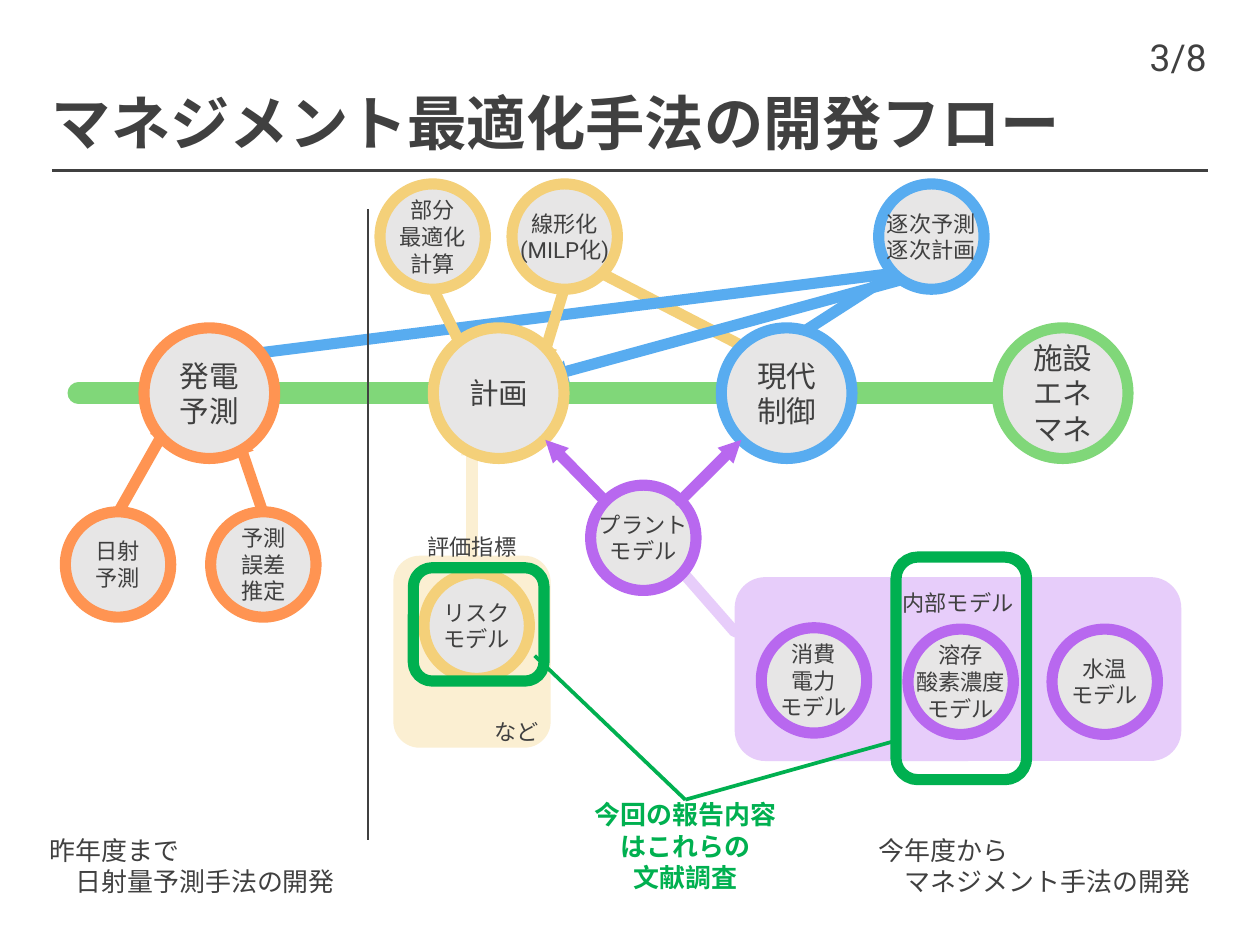
from lxml.etree import SubElement
from pptx import Presentation
from pptx.dml.color import RGBColor
from pptx.enum.shapes import MSO_CONNECTOR, MSO_SHAPE
from pptx.enum.text import MSO_ANCHOR, PP_ALIGN
from pptx.oxml.ns import qn
from pptx.util import Inches, Pt

FONT = "Roboto"
DARK = "404040"
GRAY = "E7E6E6"
ORANGE = "FF9452"
YELLOW = "F4D079"
PALE_YELLOW = "FBEFD2"
BLUE = "58ACF0"
LIME = "80D779"
PURPLE = "B868EF"
PALE_PURPLE = "E7CDFA"
GREEN = "00B050"

STAGE_SIZE = 0.98
TOPIC_SIZE = 0.79

STAGES = [
    (1.08, ORANGE, "発電\n予測"),
    (3.25, YELLOW, "計画"),
    (5.41, BLUE, "現代\n制御"),
    (7.48, LIME, "施設\nエネ\nマネ"),
]

TOPICS = [
    (0.49, 3.84, ORANGE, "日射\n予測"),
    (1.58, 3.84, ORANGE, "予測\n誤差\n推定"),
    (4.43, 3.64, PURPLE, "プラント\nモデル"),
    (5.71, 4.71, PURPLE, "消費\n電力\nモデル"),
    (6.81, 4.72, PURPLE, "溶存\n酸素濃度\nモデル"),
    (7.89, 4.72, PURPLE, "水温\nモデル"),
    (3.18, 4.3, YELLOW, "リスク\nモデル"),
    (6.59, 1.38, BLUE, "逐次予測\n逐次計画"),
    (3.84, 1.38, YELLOW, "線形化\n(MILP化)"),
    (2.85, 1.38, YELLOW, "部分\n最適化\n計算"),
]

BACK_ARROWS = [
    ((3.54, 4.17), (3.54, 3.25), PALE_YELLOW),
    ((4.51, 2.05), (5.71, 2.67), YELLOW),
    ((6.71, 2.05), (5.87, 2.59), BLUE),
    ((6.71, 2.05), (1.77, 2.67), BLUE),
    ((6.94, 2.05), (4.09, 2.83), BLUE),
    ((4.23, 2.17), (4.05, 2.76), YELLOW),
    ((3.25, 2.17), (3.54, 2.76), YELLOW),
    ((1.97, 3.84), (1.77, 3.25), ORANGE),
    ((0.89, 3.84), (1.28, 3.15), ORANGE),
    ((5.51, 4.74), (5.02, 4.18), PALE_PURPLE),
]

PLANT_ARROWS = [((4.54, 3.76), (4.09, 3.3)), ((5.1, 3.76), (5.56, 3.3))]


def color(value):
    return RGBColor.from_string(value)


def write(shape, text, size, ink=DARK, align=PP_ALIGN.CENTER, bold=False,
          anchor=MSO_ANCHOR.MIDDLE, wrap=True, margin=0):
    frame = shape.text_frame
    frame.text = text
    frame.word_wrap = wrap
    frame.vertical_anchor = anchor
    frame.margin_left = frame.margin_right = Inches(margin)
    frame.margin_top = frame.margin_bottom = 0
    for para in frame.paragraphs:
        para.alignment = align
        font = para.font
        font.size = Pt(size)
        font.bold = bold
        font.color.rgb = color(ink)
        font.name = FONT
        SubElement(font._rPr, qn("a:ea"), typeface=FONT)


def add_text(page, left, top, width, height, text, size, **style):
    box = page.shapes.add_textbox(
        Inches(left), Inches(top), Inches(width), Inches(height))
    write(box, text, size, **style)
    return box


def add_period(page, left, width, text):
    box = add_text(page, left, 6.1, width, 0.79, text, 14, align=PP_ALIGN.LEFT)
    detail = box.text_frame.paragraphs[1]
    detail._p.get_or_add_pPr().set("marL", str(Pt(14)))


def add_line(page, start, end, ink, weight, arrow=False):
    line = page.shapes.add_connector(
        MSO_CONNECTOR.STRAIGHT, *map(Inches, start + end))
    line.line.color.rgb = color(ink)
    line.line.width = Pt(weight)
    SubElement(line._element.spPr, qn("a:effectLst"))
    if arrow:
        outline = line.line._get_or_add_ln()
        outline.set("cap", "rnd")
        SubElement(outline, qn("a:round"))
        SubElement(outline, qn("a:tailEnd"), type="triangle", w="sm", len="sm")


def add_shape(page, kind, left, top, width, height, fill=None, ink=None):
    shape = page.shapes.add_shape(
        kind, Inches(left), Inches(top), Inches(width), Inches(height))
    shape.shadow.inherit = False
    if fill:
        shape.fill.solid()
        shape.fill.fore_color.rgb = color(fill)
    else:
        shape.fill.background()
    if ink:
        shape.line.color.rgb = color(ink)
        shape.line.width = Pt(6)
    else:
        shape.line.fill.background()
    return shape


def add_circle(page, left, top, diameter, ink, text, size):
    circle = add_shape(
        page, MSO_SHAPE.OVAL, left, top, diameter, diameter, GRAY, ink)
    write(circle, text, size, wrap=False, margin=0.1)


def add_rounded(page, left, top, width, height, fill=None, ink=None):
    add_shape(page, MSO_SHAPE.FLOWCHART_ALTERNATE_PROCESS,
              left, top, width, height, fill, ink)


def main():
    deck = Presentation()
    deck.slide_width = Inches(9.45)
    deck.slide_height = Inches(7.09)
    page = deck.slides.add_slide(deck.slide_layouts[6])

    add_line(page, (0.39, 1.28), (9.06, 1.28), DARK, 1.5)
    for start, end, ink in BACK_ARROWS:
        add_line(page, start, end, ink, 6, arrow=True)

    add_rounded(page, 2.95, 4.17, 1.18, 1.44, fill=PALE_YELLOW)
    add_rounded(page, 5.51, 4.33, 3.35, 1.38, fill=PALE_PURPLE)
    add_text(page, 2.95, 4, 1.18, 0.2, "評価指標", 12)
    add_text(page, 2.95, 5.39, 1.09, 0.2, "など", 12, align=PP_ALIGN.RIGHT)
    add_text(page, 5.51, 4.42, 3.35, 0.2, "内部モデル", 12)
    add_line(page, (0.59, 2.95), (8.17, 2.95), LIME, 12, arrow=True)

    add_text(page, 7.87, 0.2, 1.18, 0.39, "3/8", 20,
             align=PP_ALIGN.RIGHT, anchor=MSO_ANCHOR.BOTTOM)
    add_text(page, 0.39, 0.59, 8.66, 0.59, "マネジメント最適化手法の開発フロー", 32,
             align=PP_ALIGN.LEFT, anchor=MSO_ANCHOR.BOTTOM, bold=True)

    for left, ink, text in STAGES:
        add_circle(page, left, 2.46, STAGE_SIZE, ink, text, 16)
    add_line(page, (2.76, 1.57), (2.76, 6.3), DARK, 1)
    for left, top, ink, text in TOPICS:
        add_circle(page, left, top, TOPIC_SIZE, ink, text, 12)
    for start, end in PLANT_ARROWS:
        add_line(page, start, end, PURPLE, 6, arrow=True)

    add_period(page, 0.37, 2.17, "昨年度まで\n日射量予測手法の開発")
    add_period(page, 6.59, 2.36, "今年度から\nマネジメント手法の開発")

    add_rounded(page, 6.72, 4.18, 0.98, 1.67, ink=GREEN)
    add_rounded(page, 3.1, 4.26, 0.98, 0.85, ink=GREEN)
    add_text(page, 4.33, 6, 1.62, 0.69, "今回の報告内容\nはこれらの\n文献調査", 14,
             ink=GREEN, bold=True)
    for target in [(4.01, 4.92), (6.71, 5.56)]:
        add_line(page, (5.14, 6), target, GREEN, 2)

    deck.save("out.pptx")


if __name__ == "__main__":
    main()
